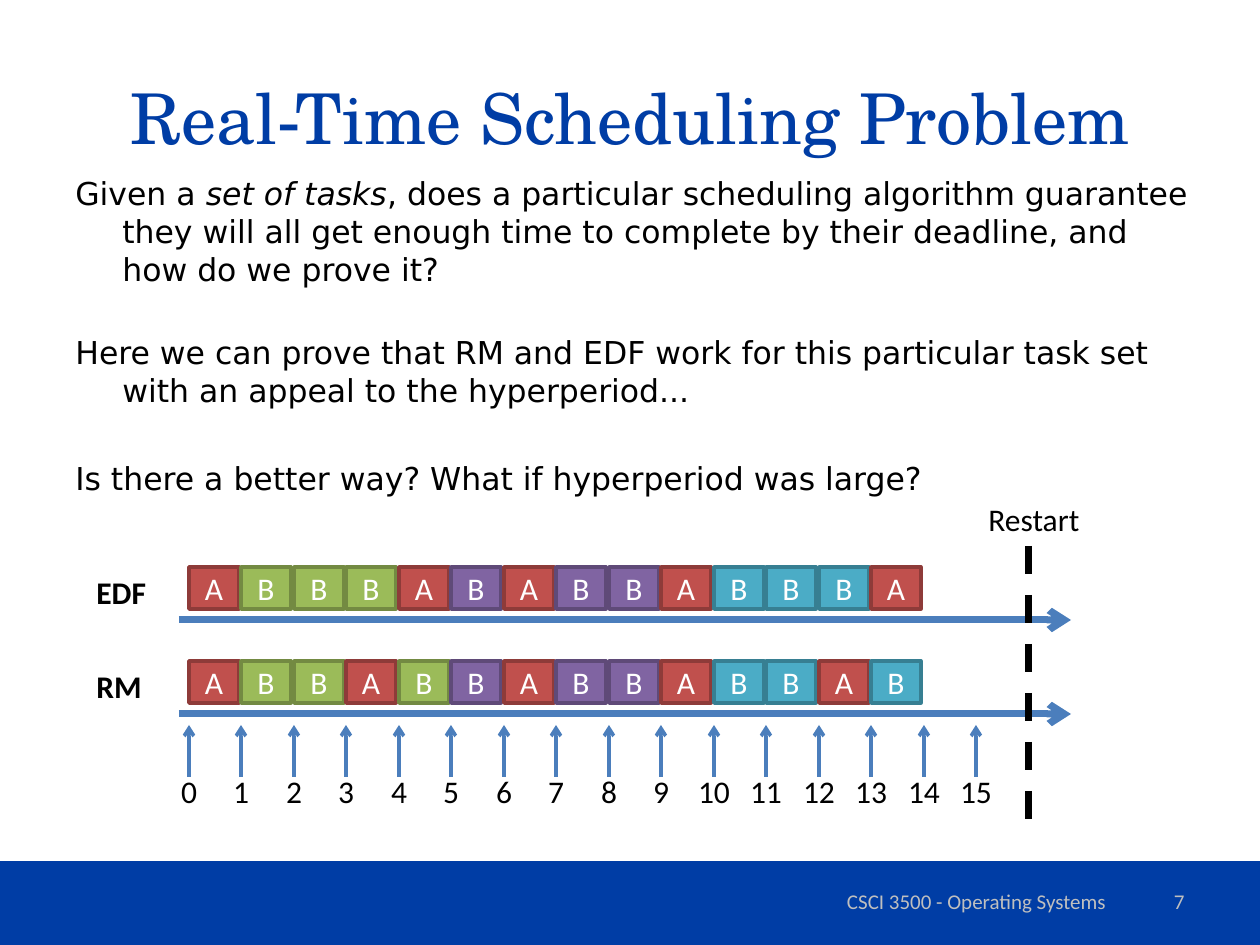
from dataclasses import dataclass
from typing import NamedTuple

from lxml.etree import SubElement
from pptx import Presentation
from pptx.dml.color import RGBColor
from pptx.enum.dml import MSO_LINE
from pptx.enum.shapes import MSO_CONNECTOR, MSO_SHAPE
from pptx.enum.text import MSO_ANCHOR as Anchor, MSO_AUTO_SIZE as AutoSize, PP_ALIGN as Align
from pptx.oxml.ns import qn
from pptx.slide import Slide
from pptx.text.text import TextFrame, _Paragraph as Paragraph
from pptx.util import Emu, Pt

PX_PER_INCH = 126


def px(length: int) -> Emu:
    return Emu(round(length * 914400 / PX_PER_INCH))


@dataclass(frozen=True)
class Theme:
    blue: str = "003DA5"
    axis: str = "4B7EBC"
    ink: str = "000000"
    white: str = "FFFFFF"
    muted: str = "BFBFBF"
    title_font: str = "TeX Gyre Schola"
    body_font: str = "DejaVu Sans"
    label_font: str = "Calibri"
    title_size: int = 40
    text_size: int = 18
    footer_size: int = 12


THEME = Theme()


class Box(NamedTuple):
    left: int
    top: int
    width: int
    height: int

    def emu(self) -> list[Emu]:
        return [px(length) for length in self]


class Job(NamedTuple):
    task: str
    fill: str
    edge: str


class Timeline(NamedTuple):
    name: str
    top: int
    label_width: int
    jobs: str


class Passage(NamedTuple):
    gap_before: float
    runs: list[tuple[str, bool]]  # text, italic


# Content: each letter of a timeline is one time unit of a job
JOBS = {
    "A": Job("A", "C0504D", "8E3B39"),
    "1": Job("B", "9BBB59", "738A42"),
    "2": Job("B", "8064A2", "5F4A78"),
    "3": Job("B", "4BACC6", "377F92"),
}
TIMELINES = [
    Timeline("EDF", 567, 76, "A111A2A22A333A"),
    Timeline("RM", 661, 71, "A11A12A22A33A3"),
]
PASSAGES = [
    Passage(0, [
        ("Given a ", False),
        ("set of tasks", True),
        (", does a particular scheduling algorithm guarantee they will all get enough "
         "time to complete by their deadline, and how do we prove it?", False),
    ]),
    Passage(26, [("Here we can prove that RM and EDF work for this particular task set "
                  "with an appeal to the hyperperiod...", False)]),
    Passage(28.5, [("Is there a better way? What if hyperperiod was large?", False)]),
]
HANGING_INDENT = 47
LAST_TICK = 15
AXIS_START, AXIS_END = 179, 1071


def time_x(time: int) -> int:
    return 189 + time * 105 // 2


def add_run(paragraph: Paragraph, text: str, font: str, size: int, color: str,
            bold: bool = False, italic: bool = False) -> None:
    run = paragraph.add_run()
    run.text = text
    run.font.name, run.font.size = font, Pt(size)
    run.font.bold, run.font.italic = bold, italic
    run.font.color.rgb = RGBColor.from_string(color)


def write_line(frame: TextFrame, text: str, align: Align, color: str,
               size: int = THEME.text_size, font: str = THEME.label_font,
               bold: bool = False) -> None:
    paragraph = frame.paragraphs[0]
    paragraph.alignment = align
    add_run(paragraph, text, font, size, color, bold)


def add_label(slide: Slide, box: Box, text: str, align: Align = Align.CENTER,
              bold: bool = False) -> None:
    frame = slide.shapes.add_textbox(*box.emu()).text_frame
    frame.word_wrap = False
    frame.auto_size = AutoSize.SHAPE_TO_FIT_TEXT
    write_line(frame, text, align, THEME.ink, bold=bold)


def add_footer(slide: Slide, box: Box, text: str, align: Align) -> None:
    frame = slide.shapes.add_textbox(*box.emu()).text_frame
    frame.word_wrap = True
    frame.vertical_anchor = Anchor.MIDDLE
    write_line(frame, text, align, THEME.muted, THEME.footer_size)


def add_line(slide: Slide, start: tuple[int, int], end: tuple[int, int], color: str,
             width: int, arrow: bool = True) -> None:
    line = slide.shapes.add_connector(
        MSO_CONNECTOR.STRAIGHT, *(px(length) for length in start + end))
    line.line.color.rgb = RGBColor.from_string(color)
    line.line.width = Pt(width)
    if arrow:
        SubElement(line.line._get_or_add_ln(), qn("a:tailEnd"), type="arrow")
    else:
        line.line.dash_style = MSO_LINE.DASH
    SubElement(line._element.spPr, qn("a:effectLst"))


def add_rectangle(slide: Slide, box: Box, fill: str, edge: str | None = None) -> TextFrame:
    rectangle = slide.shapes.add_shape(MSO_SHAPE.RECTANGLE, *box.emu())
    rectangle.shadow.inherit = False
    rectangle.fill.solid()
    rectangle.fill.fore_color.rgb = RGBColor.from_string(fill)
    if edge:
        rectangle.line.color.rgb = RGBColor.from_string(edge)
        rectangle.line.width = Pt(2)
    else:
        rectangle.line.fill.background()
    return rectangle.text_frame


def add_title(slide: Slide, box: Box, text: str) -> None:
    title = slide.shapes.title
    title.left, title.top, title.width, title.height = box.emu()
    frame = title.text_frame
    frame.word_wrap, frame.auto_size = True, AutoSize.NONE
    frame.vertical_anchor = Anchor.MIDDLE
    write_line(frame, text, Align.CENTER, THEME.blue, THEME.title_size, THEME.title_font)


def add_body(slide: Slide, box: Box, passages: list[Passage]) -> None:
    frame = slide.shapes.add_textbox(*box.emu()).text_frame
    frame.word_wrap = True
    for index, passage in enumerate(passages):
        paragraph = frame.add_paragraph() if index else frame.paragraphs[0]
        properties = paragraph._p.get_or_add_pPr()
        properties.set("marL", str(px(HANGING_INDENT)))
        properties.set("indent", str(px(-HANGING_INDENT)))
        paragraph.space_before = Pt(passage.gap_before)
        for text, italic in passage.runs:
            add_run(paragraph, text, THEME.body_font, THEME.text_size, THEME.ink, italic=italic)


def add_timeline(slide: Slide, timeline: Timeline) -> None:
    axis_y = timeline.top + 53
    add_line(slide, (AXIS_START, axis_y), (AXIS_END, axis_y), THEME.axis, 4)
    for time, key in enumerate(timeline.jobs):
        job = JOBS[key]
        frame = add_rectangle(slide, Box(time_x(time), timeline.top, 50, 42), job.fill, job.edge)
        frame.margin_left = frame.margin_right = 0
        frame.vertical_anchor = Anchor.MIDDLE
        write_line(frame, job.task, Align.CENTER, THEME.white)
    add_label(slide, Box(84, timeline.top, timeline.label_width, 50), timeline.name,
              Align.LEFT, bold=True)


def add_tick(slide: Slide, time: int) -> None:
    x = time_x(time)
    add_line(slide, (x, 777), (x, 725), THEME.axis, 2)
    width = 42 if time < 10 else 58
    add_label(slide, Box(x - width // 2, 766, width, 50), str(time))


def main() -> None:
    deck = Presentation()
    deck.slide_width, deck.slide_height = px(1260), px(945)
    slide = deck.slides.add_slide(deck.slide_layouts[5])

    # Title, question and footer band
    add_title(slide, Box(63, 38, 1134, 158), "Real-Time Scheduling Problem")
    add_rectangle(slide, Box(0, 861, 1260, 84), THEME.blue)
    add_body(slide, Box(63, 168, 1144, 624), PASSAGES)
    add_footer(slide, Box(777, 876, 399, 50), "CSCI 3500 - Operating Systems", Align.CENTER)
    add_footer(slide, Box(903, 876, 294, 50), "7", Align.RIGHT)

    # Schedules over a shared time scale
    for time in range(LAST_TICK + 1):
        add_tick(slide, time)
    for timeline in TIMELINES:
        add_timeline(slide, timeline)

    # Hyperperiod boundary
    add_line(slide, (1029, 546), (1029, 819), THEME.ink, 4, arrow=False)
    add_label(slide, Box(976, 494, 117, 50), "Restart", Align.LEFT)

    deck.save("out.pptx")


if __name__ == "__main__":
    main()
